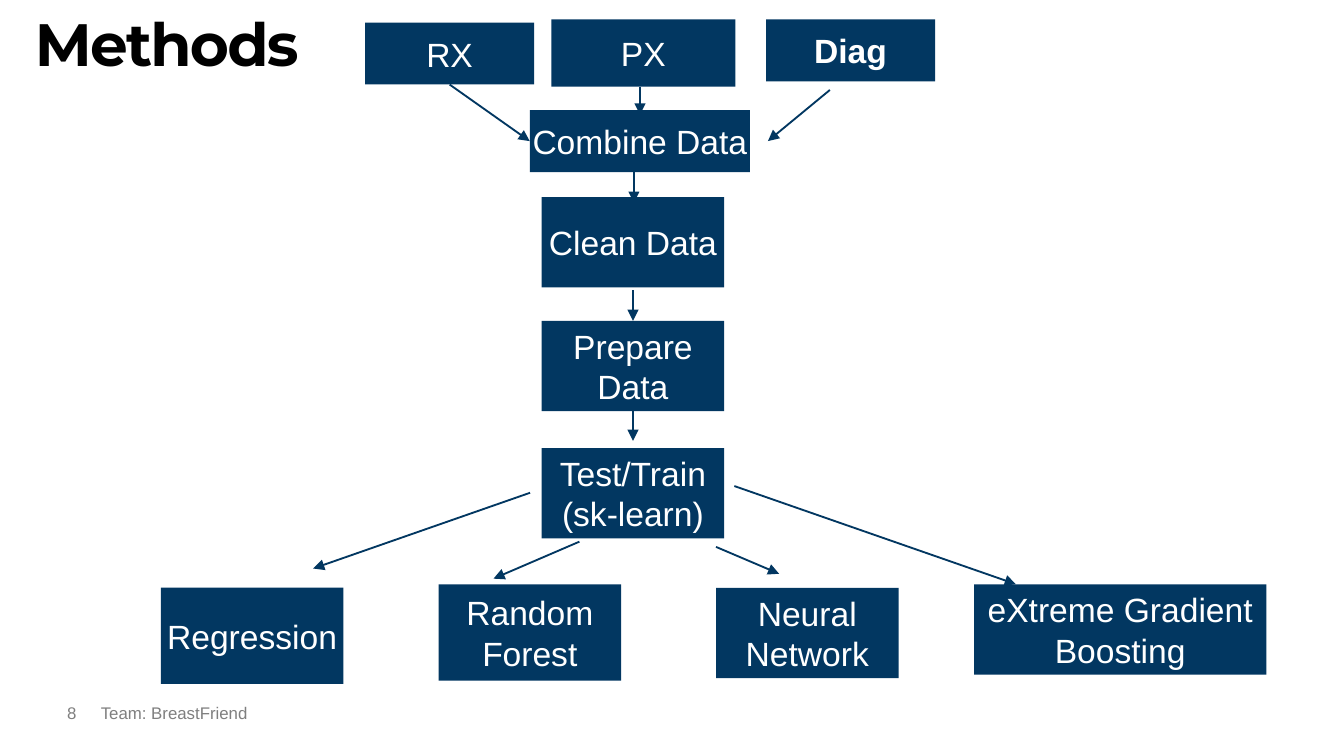
from pptx import Presentation
from pptx.dml.color import RGBColor
from pptx.enum.shapes import MSO_CONNECTOR, MSO_SHAPE
from pptx.enum.text import MSO_ANCHOR, PP_ALIGN
from pptx.oxml.ns import qn
from pptx.util import Pt
from lxml.etree import SubElement

COLORS = {"navy": "023761", "white": "FFFFFF", "black": "000000", "gray": "7F7F7F"}
TOP, LEFT, BOTTOM = 0, 1, 2

# Boxes: left, top, width, height
STEP_LEFT, STEP_WIDTH, STEP_HEIGHT = 290.2, 97.8, 48.4
BOXES = {
    "PX": (295.4, 10.4, 98.6, 36),
    "RX": (195.6, 12.1, 90.6, 33.2),
    "Diag": (410.4, 10.4, 90.6, 33.2),
    "Combine Data": (283.8, 59, 118, 33.2),
    "Clean Data": (STEP_LEFT, 105.6, STEP_WIDTH, STEP_HEIGHT),
    "Prepare Data": (STEP_LEFT, 171.9, STEP_WIDTH, STEP_HEIGHT),
    "Test/Train (sk-learn)": (STEP_LEFT, 240, STEP_WIDTH, STEP_HEIGHT),
    "Regression": (86.2, 314.9, STEP_WIDTH, 51.6),
    "Random Forest": (235, 313.1, STEP_WIDTH, 51.6),
    "Neural Network": (383.6, 314.9, STEP_WIDTH, STEP_HEIGHT),
    "eXtreme Gradient Boosting": (521.8, 313.1, 156.6, STEP_HEIGHT),
}

# Arrows: start and end, each a point or a (box, side) pair
STEP_CENTER = STEP_LEFT + STEP_WIDTH / 2
ARROWS = [
    (("RX", BOTTOM), ("Combine Data", LEFT)),
    ((444.6, 48.2), (411.4, 75.6)),
    ((342.9, 46.4), (342.9, 61.4)),
    ((339.6, 92.2), (339.6, 108.6)),
    ((STEP_CENTER, 155.5), ("Prepare Data", TOP)),
    (("Prepare Data", BOTTOM), (STEP_CENTER, 236.2)),
    ((284, 264), (167.8, 304.6)),
    ((393.4, 260.4), (544.2, 313)),
    ((310.4, 290.2), (264.4, 310)),
    ((383.6, 293), (417.4, 307.4)),
]


class FlowSlide:
    body_font = "Arial"
    title_font = "Montserrat"

    def __init__(self, presentation):
        self.slide = presentation.slides.add_slide(presentation.slide_layouts[5])
        self.boxes = {}

    def color(self, name):
        return RGBColor.from_string(COLORS[name])

    def place(self, shape, left, top, width, height):
        lengths = {"left": left, "top": top, "width": width, "height": height}
        for name, value in lengths.items():
            setattr(shape, name, Pt(value))

    def set_text(self, shape, text, color, size, font=None, bold=False,
                 align=PP_ALIGN.LEFT, anchor=MSO_ANCHOR.TOP):
        frame = shape.text_frame
        frame_format = {"word_wrap": True, "vertical_anchor": anchor}
        frame_format.update(
            {f"margin_{side}": 0 for side in ("left", "top", "right", "bottom")})
        for name, value in frame_format.items():
            setattr(frame, name, value)
        paragraph = frame.paragraphs[0]
        paragraph.alignment = align
        run = paragraph.add_run()
        run.text = text
        font_format = {"name": font or self.body_font, "size": Pt(size), "bold": bold}
        for name, value in font_format.items():
            setattr(run.font, name, value)
        run.font.color.rgb = self.color(color)
        return paragraph

    def title(self, text, *place):
        shape = self.slide.shapes.title
        self.place(shape, *place)
        paragraph = self.set_text(shape, text, "black", 32, self.title_font, bold=True)
        paragraph.line_spacing = 0.9
        paragraph.runs[0].font._element.set("spc", "-100")

    def label(self, text, *place):
        shape = self.slide.shapes.add_textbox(*map(Pt, place))
        self.set_text(shape, text, "gray", 9)

    def box(self, text, *place, bold=False):
        shape = self.slide.shapes.add_shape(MSO_SHAPE.RECTANGLE, *map(Pt, place))
        shape.shadow.inherit = False
        shape.fill.solid()
        shape.fill.fore_color.rgb = self.color("navy")
        shape.line.fill.background()
        self.set_text(shape, text, "white", 18, bold=bold,
                      align=PP_ALIGN.CENTER, anchor=MSO_ANCHOR.MIDDLE)
        self.boxes[text] = shape

    def arrow(self, start, end):
        """Draw an arrow, joining it to a box at each end given as (box, side)."""
        points = [(0, 0) if end_point[0] in self.boxes else end_point
                  for end_point in (start, end)]
        connector = self.slide.shapes.add_connector(
            MSO_CONNECTOR.STRAIGHT, *(Pt(value) for point in points for value in point))
        for join, (name, side) in ((connector.begin_connect, start),
                                   (connector.end_connect, end)):
            if name in self.boxes:
                join(self.boxes[name], side)
        connector.line.width = Pt(1)
        connector.line.color.rgb = self.color("navy")
        properties = connector._element.spPr
        SubElement(properties.find(qn("a:ln")), qn("a:tailEnd"), type="triangle")
        SubElement(properties, qn("a:effectLst"))


def main():
    presentation = Presentation()
    presentation.slide_width, presentation.slide_height = Pt(720), Pt(405)
    flow = FlowSlide(presentation)
    flow.title("Methods", 18.7, 7.9, 648, 75.6)
    flow.label("Team: BreastFriend", 54, 376.6, 298.8, 18)
    flow.label("8", 36, 376.6, 18, 18)
    for text, place in BOXES.items():
        flow.box(text, *place, bold=text == "Diag")
    for start, end in ARROWS:
        flow.arrow(start, end)
    presentation.save("out.pptx")


if __name__ == "__main__":
    main()
